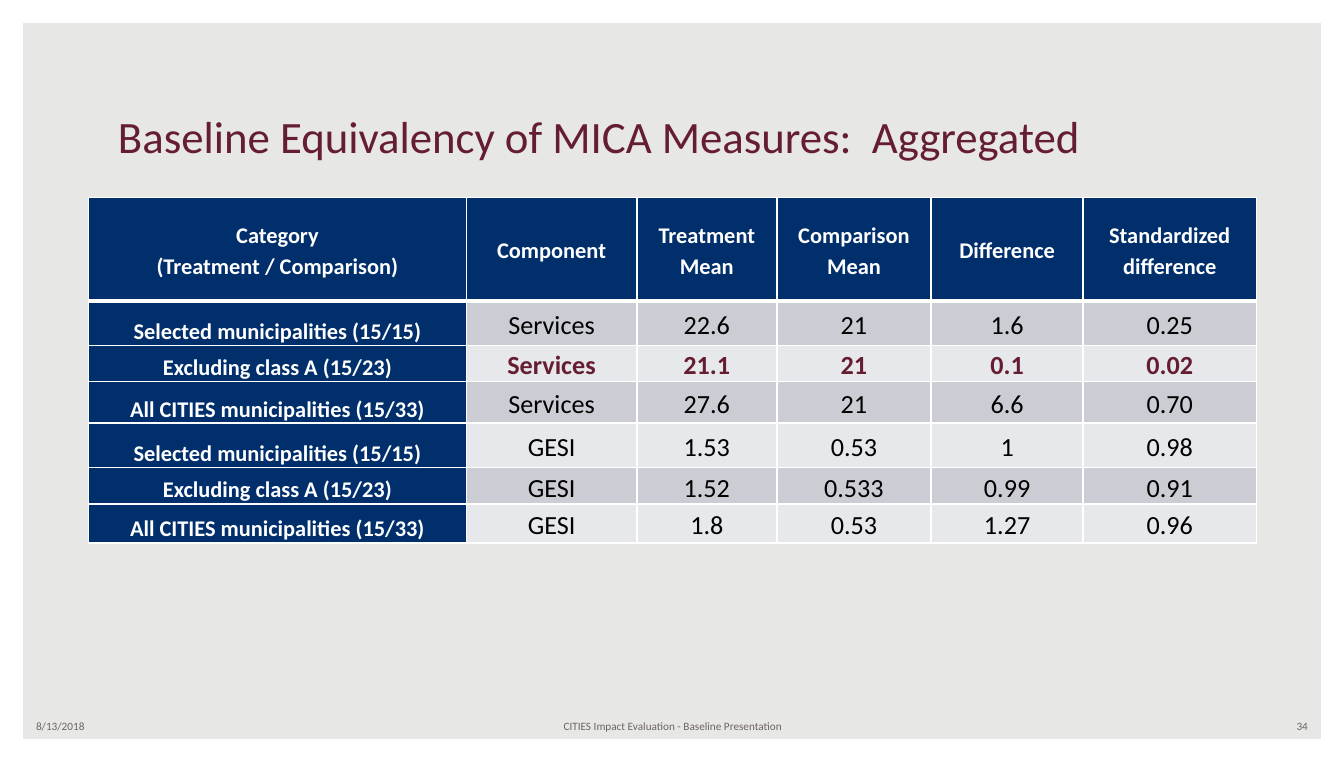
import dataclasses

import pptx
import pptx.dml.color
import pptx.enum.shapes
import pptx.enum.text
import pptx.oxml
import pptx.oxml.ns
import pptx.util
from pptx.util import Inches

ALIGN = pptx.enum.text.PP_ALIGN
ANCHOR = pptx.enum.text.MSO_ANCHOR


@dataclasses.dataclass(frozen=True)
class Theme:
    font: str = "Calibri"
    background: str = "E7E7E5"
    white: str = "FFFFFF"
    black: str = "000000"
    navy: str = "002F6C"
    maroon: str = "651D32"
    grey: str = "6C6463"
    bands: tuple = ("CCCDD4", "E7E8EB")
    title_size: float = 24
    label_size: float = 12
    value_size: float = 14
    footer_size: float = 6
    border: float = 1
    header_border: float = 3


THEME = Theme()

COLUMN_WIDTHS = [2.81, 1.27, 1.04, 1.15, 1.13, 1.29]
ROW_HEIGHTS = [0.77, 0.33, 0.27, 0.31, 0.33, 0.27, 0.29]
HEADERS = ["Category\n(Treatment / Comparison)", "Component", "Treatment Mean",
           "Comparison Mean", "Difference", "Standardized difference"]
CATEGORIES = ["Selected municipalities (15/15)", "Excluding class A (15/23)",
              "All CITIES municipalities (15/33)"]
MEASURES = [
    ["Services", "22.6", "21", "1.6", "0.25"],
    ["Services", "21.1", "21", "0.1", "0.02"],
    ["Services", "27.6", "21", "6.6", "0.70"],
    ["GESI", "1.53", "0.53", "1", "0.98"],
    ["GESI", "1.52", "0.533", "0.99", "0.91"],
    ["GESI", "1.8", "0.53", "1.27", "0.96"],
]
HIGHLIGHTED_ROW = 2


def rgb(color):
    return pptx.dml.color.RGBColor.from_string(color)


def set_all(target, values):
    for name, value in values.items():
        setattr(target, name, value)


def set_fill(target, color):
    target.fill.solid()
    target.fill.fore_color.rgb = rgb(color)


def write_text(text_frame, text, size, color, bold=False, align=ALIGN.LEFT, spacing=None):
    text_frame.text = text
    for paragraph in text_frame.paragraphs:
        set_all(paragraph, {"alignment": align, "line_spacing": spacing})
        for run in paragraph.runs:
            set_all(run.font, {"name": THEME.font, "size": pptx.util.Pt(size), "bold": bold})
            run.font.color.rgb = rgb(color)


def add_frame(slide, width, height):
    shape = slide.shapes.add_shape(pptx.enum.shapes.MSO_SHAPE.FRAME, 0, 0, width, height)
    shape.adjustments[0] = 0.03
    shape.shadow.inherit = False
    set_fill(shape, THEME.white)
    shape.line.fill.background()


def add_text(slide, box, text, size, color, align=ALIGN.LEFT, anchor=ANCHOR.MIDDLE):
    shape = slide.shapes.add_textbox(*map(Inches, box))
    set_all(shape.text_frame, {"word_wrap": True, "vertical_anchor": anchor})
    write_text(shape.text_frame, text, size, color, align=align)


def set_borders(cell, widths):
    """Draw white cell borders; widths are points for left, right, top and bottom."""
    properties = cell._tc.get_or_add_tcPr()
    for index, (side, width) in enumerate(zip("LRTB", widths)):
        properties.insert(index, pptx.oxml.parse_xml(
            f'<a:ln{side} {pptx.oxml.ns.nsdecls("a")} w="{pptx.util.Pt(width)}">'
            f'<a:solidFill><a:srgbClr val="{THEME.white}"/></a:solidFill></a:ln{side}>'))


def cell_style(row, column):
    """Return fill, text colour, type size, bold and anchor for a table position."""
    if row == 0 or column == 0:
        anchor = ANCHOR.MIDDLE if row == 0 else ANCHOR.BOTTOM
        return THEME.navy, THEME.white, THEME.label_size, True, anchor
    highlighted = row == HIGHLIGHTED_ROW
    color = THEME.maroon if highlighted else THEME.black
    return THEME.bands[(row - 1) % 2], color, THEME.value_size, highlighted, ANCHOR.MIDDLE


def format_cell(cell, text, row, column):
    fill, color, size, bold, anchor = cell_style(row, column)
    set_all(cell, {"margin_left": Inches(0.07), "margin_right": Inches(0.07),
                   "margin_top": 0, "margin_bottom": 0, "vertical_anchor": anchor})
    write_text(cell.text_frame, text, size, color, bold, ALIGN.CENTER, 1.15)
    set_fill(cell, fill)
    top = THEME.header_border if row == 1 else THEME.border
    bottom = THEME.header_border if row == 0 else THEME.border
    set_borders(cell, (THEME.border, THEME.border, top, bottom))


def add_measures_table(slide):
    rows = [HEADERS] + [[CATEGORIES[index % len(CATEGORIES)], *values]
                        for index, values in enumerate(MEASURES)]
    table = slide.shapes.add_table(
        len(rows), len(HEADERS), Inches(0.66), Inches(1.47),
        Inches(sum(COLUMN_WIDTHS)), Inches(sum(ROW_HEIGHTS))).table
    for column, width in zip(table.columns, COLUMN_WIDTHS):
        column.width = Inches(width)
    for row, height in zip(table.rows, ROW_HEIGHTS):
        row.height = Inches(height)
    for row, texts in enumerate(rows):
        for column, text in enumerate(texts):
            format_cell(table.cell(row, column), text, row, column)


def add_footer(slide):
    for left, width, text, align in [
        (0.17, 2.33, "8/13/2018", ALIGN.LEFT),
        (3.42, 3.17, "CITIES Impact Evaluation - Baseline Presentation", ALIGN.CENTER),
        (7.5, 2.33, "34", ALIGN.RIGHT),
    ]:
        add_text(slide, (left, 5.3, width, 0.2), text, THEME.footer_size, THEME.grey, align)


def main():
    presentation = pptx.Presentation()
    set_all(presentation, {"slide_width": Inches(10), "slide_height": Inches(5.67)})
    slide = presentation.slides.add_slide(presentation.slide_layouts[6])
    set_fill(slide.background, THEME.background)
    add_frame(slide, presentation.slide_width, presentation.slide_height)
    add_text(slide, (0.78, 0.76, 8.43, 0.5),
             "Baseline Equivalency of MICA Measures:  Aggregated",
             THEME.title_size, THEME.maroon, anchor=ANCHOR.BOTTOM)
    add_measures_table(slide)
    add_footer(slide)
    presentation.save("out.pptx")


if __name__ == "__main__":
    main()
